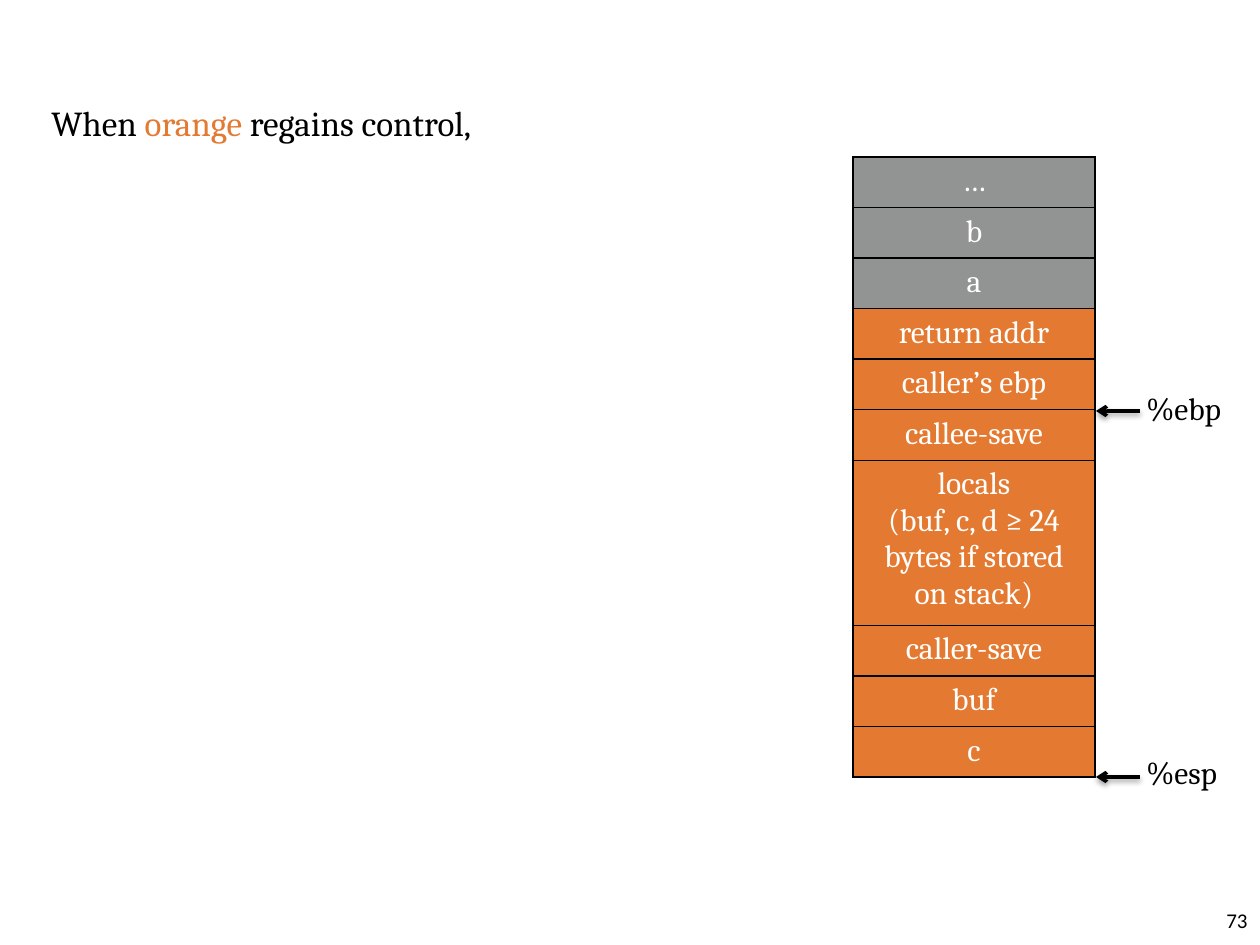
from lxml import etree
from pptx import Presentation
from pptx.dml.color import RGBColor
from pptx.enum.shapes import MSO_CONNECTOR
from pptx.enum.text import MSO_ANCHOR, MSO_AUTO_SIZE, PP_ALIGN
from pptx.oxml import parse_xml
from pptx.oxml.ns import qn
from pptx.util import Emu, Pt

LEFT, CENTER, RIGHT = PP_ALIGN.LEFT, PP_ALIGN.CENTER, PP_ALIGN.RIGHT
TOP, MIDDLE = MSO_ANCHOR.TOP, MSO_ANCHOR.MIDDLE
STRAIGHT = MSO_CONNECTOR.STRAIGHT
BLACK = RGBColor(0x00, 0x00, 0x00)
WHITE = RGBColor(0xFF, 0xFF, 0xFE)
GRAY = RGBColor(0x92, 0x93, 0x93)
ORANGE = RGBColor(0xE4, 0x79, 0x32)
DRAWING_NS = "http://schemas.openxmlformats.org/drawingml/2006/main"

# Content
STATEMENT = [("When ", BLACK), ("orange", ORANGE), (" regains control,", BLACK)]
PAGE_NUMBER = [("73", BLACK)]
STACK = [
    ("…", GRAY), ("b", GRAY), ("a", GRAY),
    ("return addr", ORANGE), ("caller’s ebp", ORANGE), ("callee-save", ORANGE),
    ("locals\n(buf, c, d ≥ 24 bytes if stored on stack)", ORANGE),
    ("caller-save", ORANGE), ("buf", ORANGE), ("c", ORANGE),
]
# Register name, label top, arrow height
REGISTERS = [("%ebp", 383, 411), ("%esp", 747, 777)]

# Layout in pixels
STACK_BOX = (853, 157, 242, 620)
LOCALS_HEIGHT = 165
LABEL_LEFT, LABEL_WIDTH, LABEL_HEIGHT = 1134, 105, 50
ARROW_START, ARROW_END = 1140, 1096

SHADOW = (
    f'<a:effectLst xmlns:a="{DRAWING_NS}">'
    '<a:outerShdw blurRad="40000" dist="20000" dir="5400000" rotWithShape="0">'
    '<a:srgbClr val="000000"><a:alpha val="38000"/></a:srgbClr>'
    '</a:outerShdw></a:effectLst>'
)


def px(value):
    return Emu(round(value * 914400 / 126))


def set_all(target, **values):
    for name, value in values.items():
        setattr(target, name, value)


def style_font(font, size, color, face="Cambria"):
    set_all(font, size=Pt(size), name=face)
    font.color.rgb = color


def add_text(slide, box, runs, size, face="Cambria", align=LEFT,
             anchor=TOP, wrap=True, before=0):
    frame = slide.shapes.add_textbox(*map(px, box)).text_frame
    fit = MSO_AUTO_SIZE.NONE if wrap else MSO_AUTO_SIZE.SHAPE_TO_FIT_TEXT
    set_all(frame, word_wrap=wrap, auto_size=fit, vertical_anchor=anchor)
    paragraph = frame.paragraphs[0]
    set_all(paragraph, alignment=align, space_before=Pt(before))
    for words, color in runs:
        run = paragraph.add_run()
        run.text = words
        style_font(run.font, size, color, face)


def add_borders(cell):
    properties = cell._tc.get_or_add_tcPr()
    for index, side in enumerate(("lnL", "lnR", "lnT", "lnB")):
        properties.insert(index, parse_xml(
            f'<a:{side} xmlns:a="{DRAWING_NS}" w="12700"><a:solidFill>'
            f'<a:srgbClr val="{BLACK}"/></a:solidFill></a:{side}>'))


def add_stack(slide):
    stack = slide.shapes.add_table(len(STACK), 1, *map(px, STACK_BOX)).table
    set_all(stack, first_row=False, horz_banding=False)
    slot_height = (STACK_BOX[3] - LOCALS_HEIGHT) / (len(STACK) - 1)
    for row, (words, color) in zip(stack.rows, STACK):
        row.height = px(LOCALS_HEIGHT if "\n" in words else slot_height)
        cell = row.cells[0]
        cell.text = words
        cell.fill.solid()
        cell.fill.fore_color.rgb = color
        add_borders(cell)
        for paragraph in cell.text_frame.paragraphs:
            paragraph.alignment = CENTER
            style_font(paragraph.runs[0].font, 18, WHITE)


def add_register(slide, register, label_top, arrow_y):
    label_box = (LABEL_LEFT, label_top, LABEL_WIDTH, LABEL_HEIGHT)
    add_text(slide, label_box, [(register, BLACK)], 18, wrap=False)
    ends = (ARROW_START, arrow_y, ARROW_END, arrow_y)
    arrow = slide.shapes.add_connector(STRAIGHT, *map(px, ends))
    arrow.line.color.rgb = BLACK
    arrow.line.width = Pt(2)
    etree.SubElement(arrow.line._get_or_add_ln(), qn("a:tailEnd"), type="arrow")
    arrow._element.spPr.append(parse_xml(SHADOW))


prs = Presentation()
set_all(prs, slide_width=px(1260), slide_height=px(945))
slide = prs.slides.add_slide(prs.slide_layouts[6])

# Statement and page number
add_text(slide, (39, 95, 578, 803), STATEMENT, 20, before=2)
add_text(slide, (1176, 895, 84, 50), PAGE_NUMBER, 12, "Calibri", RIGHT, MIDDLE)

# Stack frame with its register pointers
add_stack(slide)
for pointer in REGISTERS:
    add_register(slide, *pointer)

prs.save("out.pptx")
